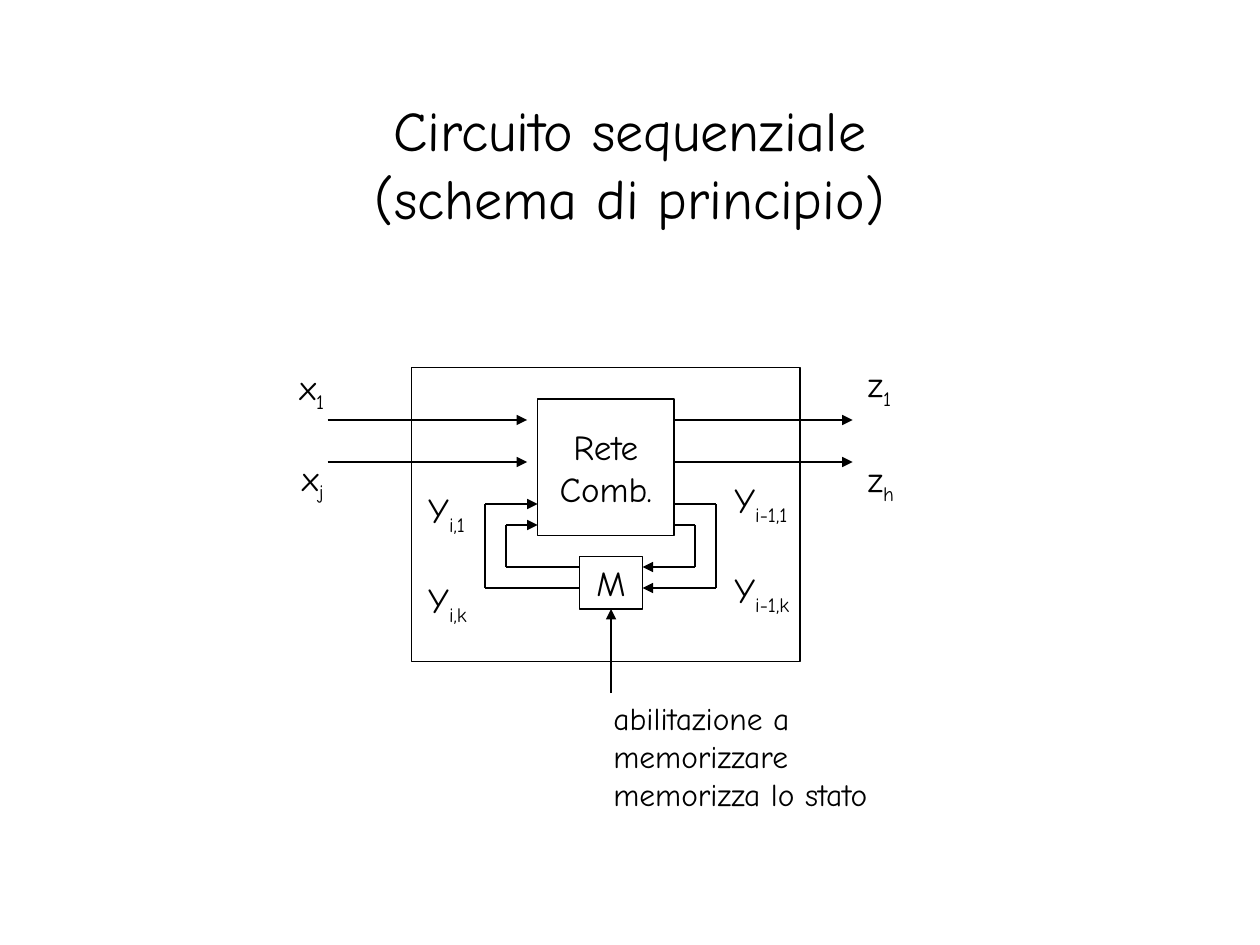
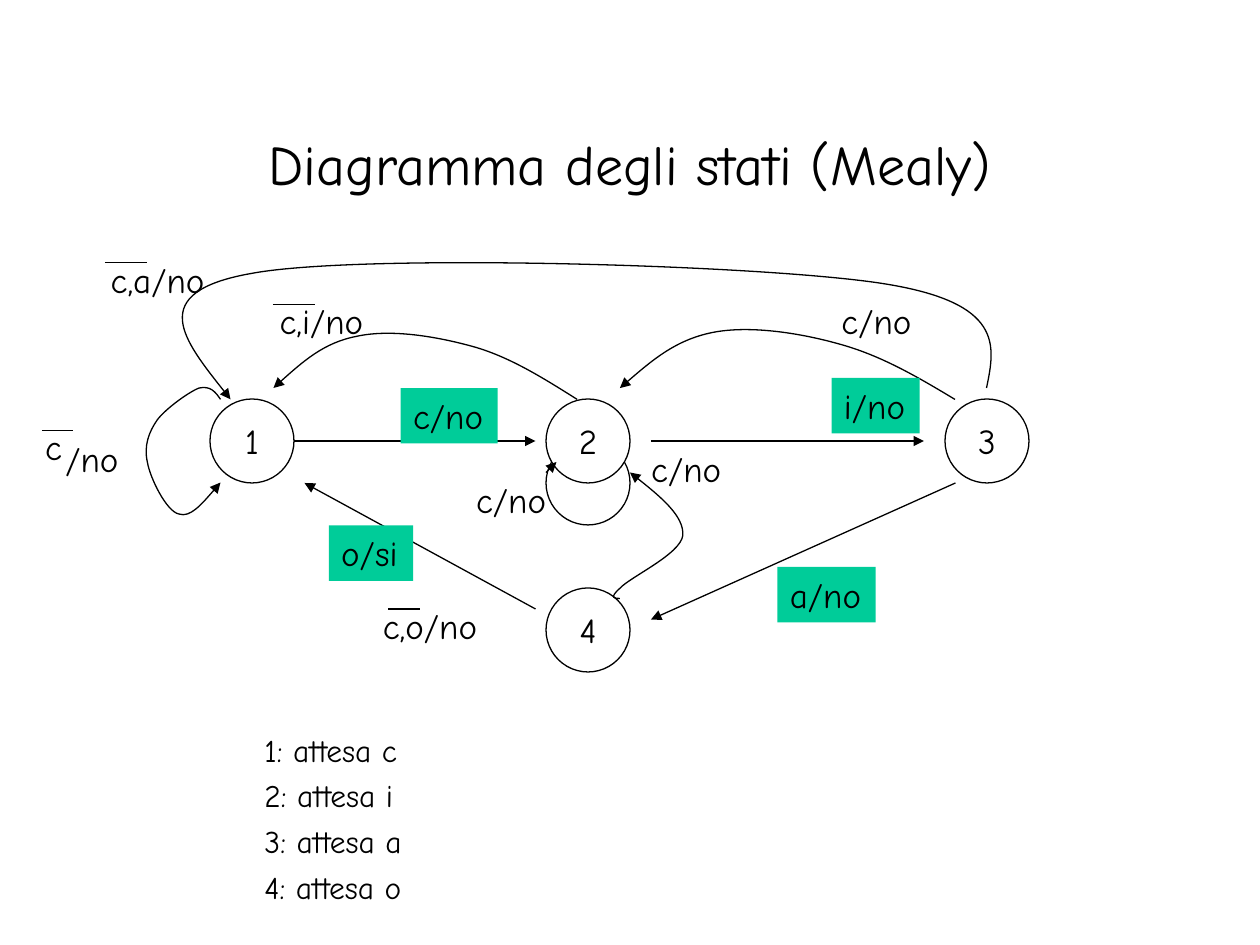
from itertools import pairwise

from lxml.etree import SubElement
from pptx import Presentation
from pptx.dml.color import RGBColor
from pptx.enum.shapes import MSO_CONNECTOR, MSO_SHAPE
from pptx.enum.text import MSO_ANCHOR, MSO_AUTO_SIZE, PP_ALIGN
from pptx.oxml.ns import qn
from pptx.util import Inches, Pt

FONT = "Comic Neue"
BLACK = RGBColor(0x00, 0x00, 0x00)
WHITE = RGBColor(0xFF, 0xFF, 0xFF)
GREEN = RGBColor(0x00, 0xCC, 0x99)
TITLE_SIZE, LABEL_SIZE, NOTE_SIZE = 32, 20, 18
LINE_WIDTH = Pt(0.75)
CELL = 1 / 12  # grid step in inches
CIRCUIT_LEFT = 2.6  # where column 0 of the circuit stands
SLACK = 0.02  # extra width that keeps a label on one line

# Circuit: boxes are column, row, columns, rows; wires are (column, row) stops
CIRCUIT_TITLE = ["Circuito sequenziale", "(schema di principio)"]
CIRCUIT_BOXES = [
    ((8, 35, 37, 28), []),
    ((20, 38, 13, 13), ["Rete", "Comb."]),
    ((24, 53, 6, 5), ["M"]),
]
CIRCUIT_WIRES = [
    [(0, 40), (19, 40)],
    [(0, 44), (19, 44)],
    [(33, 40), (50, 40)],
    [(33, 44), (50, 44)],
    [(33, 48), (37, 48), (37, 56), (30, 56)],
    [(33, 50), (35, 50), (35, 54), (30, 54)],
    [(24, 56), (15, 56), (15, 48), (20, 48)],
    [(24, 54), (17, 54), (17, 50), (20, 50)],
]
ENABLE_START = (27, 66)
# Inches of left, top, width, height; then (symbol, subscript) lines
SIGNALS = [
    ((2.28, 2.85, 0.39, 0.48), [("x", "1")]),
    ((2.3, 3.57, 0.37, 0.48), [("x", "j")]),
    ((6.79, 2.83, 0.38, 0.48), [("z", "1")]),
    ((6.79, 3.58, 0.41, 0.48), [("z", "h")]),
    ((3.3, 3.83, 0.5, 1.24), [("Y", "i,1"), ("Y", "i,k")]),
    ((5.73, 3.75, 0.63, 1.24), [("Y", "i-1,1"), ("Y", "i-1,k")]),
]
ENABLE_NOTE = ((4.77, 5.5, 2.44, 1), "abilitazione a memorizzare memorizza lo stato")

# State diagram: circles, arrows and overlines on the grid
STATES_TITLE = ["Diagramma degli stati (Mealy)"]
CIRCLE = 8
STATES = [  # the unnamed circle is the loop behind state 2
    (52, 42, ""), (20, 38, "1"), (52, 38, "2"), (90, 38, "3"), (52, 56, "4"),
]
STATE_ARROWS = [
    [(28, 42), (51, 42)],
    [(62, 42), (88, 42)],
    [(91, 46), (62, 59)],
    [(51, 58), (29, 46)],
    [(52, 45), (53, 44)],
]
OVERLINES = [  # column, row, columns
    (4, 41, 3), (26, 29, 4), (10, 25, 4), (37, 58, 3),
]
# Inches: a start, then three points for each curved piece
STATE_CURVES = [
    [(1.75, 3.17), (1.71, 3.11), (1.67, 3.06), (1.58, 3.08),
     (1.5, 3.11), (1.32, 3.24), (1.25, 3.33),
     (1.18, 3.43), (1.14, 3.54), (1.17, 3.67),
     (1.19, 3.79), (1.32, 4.06), (1.42, 4.08),
     (1.51, 4.11), (1.63, 3.97), (1.75, 3.83)],
    [(4.58, 3.17), (4.31, 3), (4.04, 2.83), (3.75, 2.75),
     (3.46, 2.67), (3.1, 2.61), (2.83, 2.67),
     (2.57, 2.72), (2.37, 2.9), (2.17, 3.08)],
    [(7.58, 3.17), (7.28, 2.99), (6.99, 2.82), (6.66, 2.73),
     (6.34, 2.64), (5.94, 2.58), (5.65, 2.64),
     (5.36, 2.7), (5.14, 2.89), (4.92, 3.08)],
    [(7.83, 3.08), (7.9, 2.74), (7.97, 2.4), (7, 2.25),
     (6.03, 2.1), (2.86, 2.01), (2, 2.17),
     (1.14, 2.32), (1.49, 2.74), (1.83, 3.17)],
    [(4.92, 4.75), (4.88, 4.75), (4.83, 4.75), (4.92, 4.67),
     (5, 4.58), (5.4, 4.4), (5.42, 4.25),
     (5.43, 4.1), (5.22, 3.92), (5, 3.75)],
]
LABEL_HEIGHT = 0.44
LABELS = [  # left, top, width, text, fill
    (3.18, 3.08, 0.75, "c/no", GREEN),
    (6.6, 3, 0.68, "i/no", GREEN),
    (6.17, 4.5, 0.76, "a/no", GREEN),
    (2.61, 4.17, 0.65, "o/si", GREEN),
    (0.26, 3.33, 0.33, "c", None),
    (0.42, 3.42, 0.62, "/no", None),
    (3.68, 3.75, 0.75, "c/no", None),
    (2.12, 2.33, 0.86, "c,i/no", None),
    (6.58, 2.33, 0.75, "c/no", None),
    (0.78, 2, 0.94, "c,a/no", None),
    (5.07, 3.5, 0.75, "c/no", None),
    (2.94, 4.75, 0.95, "c,o/no", None),
]
LEGEND_BOX = (1, 5.75, 2.3, 1.49)
LEGEND = ["1: attesa c", "2: attesa i", "3: attesa a", "4: attesa o"]


def inches(*lengths):
    return [Inches(length) for length in lengths]


def place(column, row, left=0):
    """Turn a grid position into slide lengths."""
    return inches(left + column * CELL, row * CELL)


def add_run(paragraph, text, size=LABEL_SIZE, subscript=False):
    run = paragraph.add_run()
    run.text = text
    run.font.name = FONT
    run.font.size = Pt(size)
    run.font.color.rgb = BLACK
    if subscript:
        run.font._element.set("baseline", "-25000")


def paragraphs(frame, count):
    """Return the first paragraph of a frame and as many more as needed."""
    return [frame.paragraphs[0]] + [frame.add_paragraph() for _ in range(count - 1)]


def add_titled_slide(presentation, lines):
    slide = presentation.slides.add_slide(presentation.slide_layouts[5])
    title = slide.shapes.title
    title.left, title.top, title.width, title.height = inches(0.75, 0.67, 8.5, 1.25)
    frame = title.text_frame
    frame.auto_size = MSO_AUTO_SIZE.NONE
    frame.vertical_anchor = MSO_ANCHOR.MIDDLE
    paragraph = frame.paragraphs[0]
    paragraph.alignment = PP_ALIGN.CENTER
    for index, line in enumerate(lines):
        if index:
            paragraph.add_line_break()
        add_run(paragraph, line, TITLE_SIZE)
    return slide


def add_node(slide, kind, box, lines, left=0):
    """Draw an outlined shape on the grid with centred lines of text."""
    column, row, columns, rows = box
    shape = slide.shapes.add_shape(
        kind, *place(column, row, left), *place(columns, rows))
    shape.shadow.inherit = False
    shape.fill.solid()
    shape.fill.fore_color.rgb = WHITE
    shape.line.color.rgb = BLACK
    shape.line.width = LINE_WIDTH
    frame = shape.text_frame
    frame.word_wrap = False
    frame.vertical_anchor = MSO_ANCHOR.MIDDLE
    for paragraph, line in zip(paragraphs(frame, len(lines)), lines):
        paragraph.alignment = PP_ALIGN.CENTER
        add_run(paragraph, line)
    return shape


def add_text_box(slide, box, wrap=False):
    left, top, width, height = box
    if not wrap:
        width += SLACK
    shape = slide.shapes.add_textbox(*inches(left, top, width, height))
    shape.text_frame.word_wrap = wrap
    shape.text_frame.auto_size = MSO_AUTO_SIZE.SHAPE_TO_FIT_TEXT
    return shape


def style_line(shape, arrow):
    shape.line.color.rgb = BLACK
    shape.line.width = LINE_WIDTH
    if arrow:
        SubElement(shape.line._get_or_add_ln(), qn("a:tailEnd"), type="triangle")


def add_wire(slide, stops, left=0, arrow=True):
    """Join the stops with straight lines; the last one carries the arrow."""
    for start, end in pairwise(stops):
        connector = slide.shapes.add_connector(
            MSO_CONNECTOR.STRAIGHT, *place(*start, left), *place(*end, left))
        style_line(connector, arrow and end == stops[-1])
        SubElement(connector._element.spPr, qn("a:effectLst"))
    return connector


def add_curve(slide, points):
    """Draw a freeform and turn every three segments into one Bézier piece."""
    start, *others = [tuple(inches(*point)) for point in points]
    builder = slide.shapes.build_freeform(*start)
    builder.add_line_segments(others, close=False)
    curve = builder.convert_to_shape()
    curve.shadow.inherit = False
    curve.fill.background()
    style_line(curve, arrow=True)
    outline = next(curve._element.iter(qn("a:path")))
    segments = outline.findall(qn("a:lnTo"))
    for index in range(0, len(segments), 3):
        piece = SubElement(outline, qn("a:cubicBezTo"))
        for segment in segments[index:index + 3]:
            piece.append(segment[0])
            outline.remove(segment)


def build_circuit(presentation):
    slide = add_titled_slide(presentation, CIRCUIT_TITLE)
    for box, lines in CIRCUIT_BOXES:
        memory = add_node(slide, MSO_SHAPE.RECTANGLE, box, lines, CIRCUIT_LEFT)
    for stops in CIRCUIT_WIRES:
        add_wire(slide, stops, CIRCUIT_LEFT)
    # Enable signal enters the memory from below
    enable = add_wire(slide, [ENABLE_START, (27, 58)], CIRCUIT_LEFT)
    enable.end_connect(memory, 2)
    # Signal names
    for box, lines in SIGNALS:
        frame = add_text_box(slide, box).text_frame
        for index, paragraph in enumerate(paragraphs(frame, len(lines))):
            if index:
                paragraph.space_before = Pt(24)
            symbol, subscript = lines[index]
            add_run(paragraph, symbol)
            add_run(paragraph, subscript, subscript=True)
    box, text = ENABLE_NOTE
    note = add_text_box(slide, box, wrap=True)
    add_run(note.text_frame.paragraphs[0], text, NOTE_SIZE)


def build_states(presentation):
    slide = add_titled_slide(presentation, STATES_TITLE)
    for column, row, name in STATES:
        add_node(slide, MSO_SHAPE.OVAL, (column, row, CIRCLE, CIRCLE),
                 [name] if name else [])
    # Transitions
    for stops in STATE_ARROWS:
        add_wire(slide, stops)
    for points in STATE_CURVES:
        add_curve(slide, points)
    # Transition labels and their overlines
    for left, top, width, text, fill in LABELS:
        label = add_text_box(slide, (left, top, width, LABEL_HEIGHT))
        if fill is not None:
            label.fill.solid()
            label.fill.fore_color.rgb = fill
        add_run(label.text_frame.paragraphs[0], text)
    for column, row, columns in OVERLINES:
        add_wire(slide, [(column, row), (column + columns, row)], arrow=False)
    # Legend
    frame = add_text_box(slide, LEGEND_BOX).text_frame
    for paragraph, line in zip(paragraphs(frame, len(LEGEND)), LEGEND):
        paragraph.level = 2
        paragraph.space_before = Pt(4.5)
        paragraph._p.get_or_add_pPr().set("marL", str(Inches(1)))
        add_run(paragraph, line, NOTE_SIZE)


def main():
    presentation = Presentation()
    presentation.slide_width, presentation.slide_height = inches(10, 7.5)
    build_circuit(presentation)
    build_states(presentation)
    presentation.save("out.pptx")


if __name__ == "__main__":
    main()
